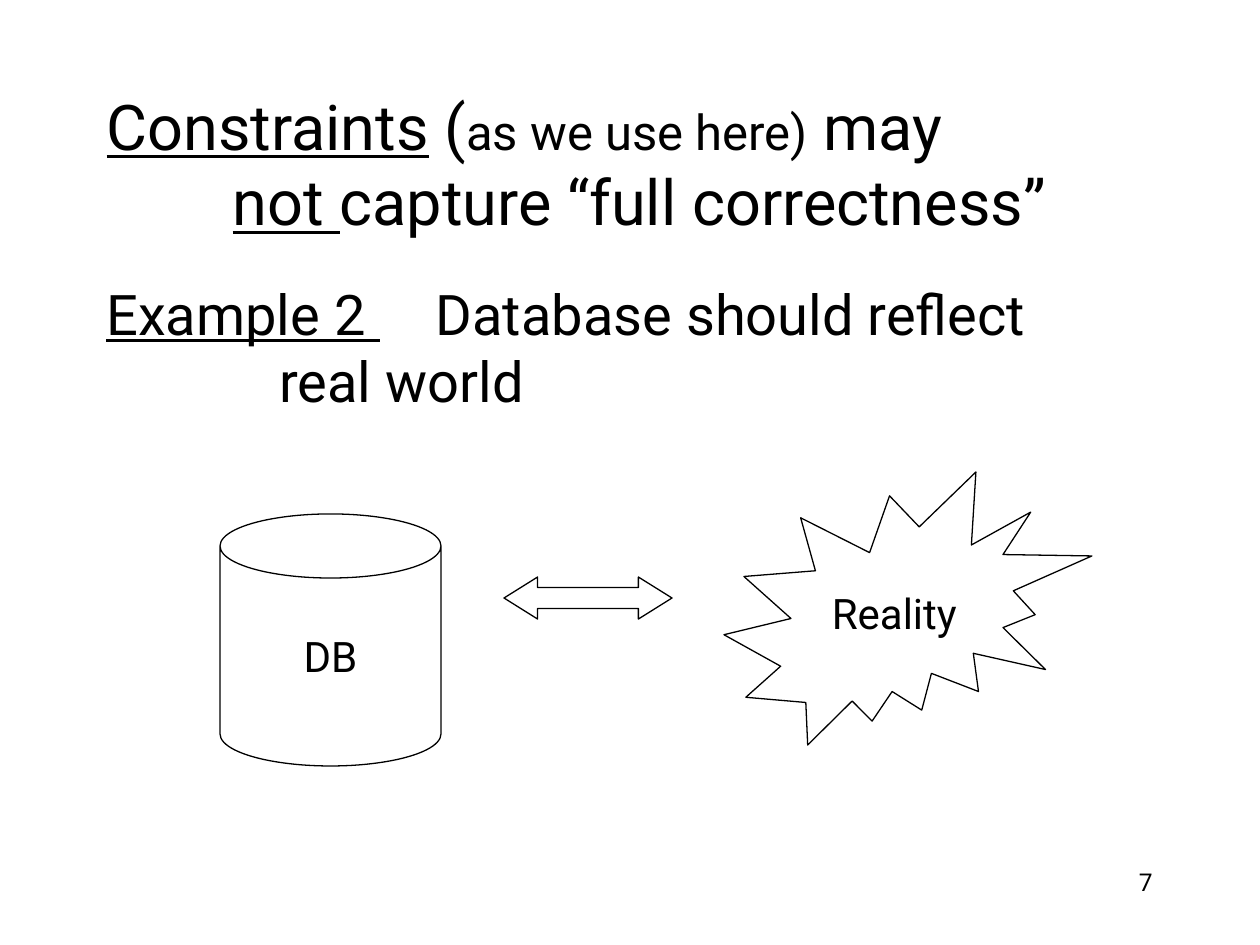
import dataclasses

import pptx
import pptx.dml.color
import pptx.enum.shapes
import pptx.enum.text
import pptx.util

ALIGN = pptx.enum.text.PP_ALIGN
ANCHOR = pptx.enum.text.MSO_ANCHOR
SHAPE = pptx.enum.shapes.MSO_SHAPE
BREAK = "\n"


@dataclasses.dataclass(frozen=True)
class Theme:
    """Colours, font and type sizes."""
    font: str = "Roboto"
    ink: str = "000000"
    paper: str = "FFFFFF"
    outline: float = 0.75
    title: int = 36
    aside: int = 28
    body: int = 32
    label: int = 24
    number: int = 14


@dataclasses.dataclass(frozen=True)
class Run:
    """A piece of text with its own formatting."""
    text: str
    size: int
    underline: bool = False
    spacing: int = 0


def pixels(count):
    """Turn pixels into EMU."""
    return pptx.util.Emu(round(count * 914400 / 126))


class SlideBuilder:
    """Holds the theme and the current slide."""

    def __init__(self, slide, theme):
        """Keep the slide and its style."""
        self.slide = slide
        self.theme = theme

    def color(self, value):
        """Return an RGB colour."""
        return pptx.dml.color.RGBColor.from_string(value)

    def fill_text(self, shape, runs, align=ALIGN.LEFT, anchor=ANCHOR.TOP,
                  wrap=True, hanging=0, before=0):
        """Put one paragraph, run by run, into a shape."""
        frame = shape.text_frame
        frame.word_wrap = wrap
        frame.auto_size = pptx.enum.text.MSO_AUTO_SIZE.NONE
        frame.vertical_anchor = anchor
        paragraph = frame.paragraphs[0]
        paragraph.alignment = align
        paragraph.space_before = pptx.util.Pt(before)
        if hanging:
            properties = paragraph._p.get_or_add_pPr()
            properties.set("marL", str(pixels(hanging)))
            properties.set("indent", str(-pixels(hanging)))
        for item in runs:
            if item == BREAK:
                paragraph.add_line_break()
                continue
            run = paragraph.add_run()
            run.text = item.text
            run.font.name = self.theme.font
            run.font.size = pptx.util.Pt(item.size)
            run.font.underline = item.underline
            run.font.color.rgb = self.color(self.theme.ink)
            if item.spacing:
                run._r.get_or_add_rPr().set("spc", str(item.spacing * 100))

    def title(self, box, runs, **layout):
        """Place and fill the title placeholder."""
        title = self.slide.shapes.title
        title.left, title.top, title.width, title.height = map(pixels, box)
        self.fill_text(title, runs, **layout)

    def text(self, box, runs, **layout):
        """Add a text box."""
        text_box = self.slide.shapes.add_textbox(*map(pixels, box))
        self.fill_text(text_box, runs, **layout)

    def shape(self, kind, box, label="", adjustments=()):
        """Add an outlined preset shape with an optional centred label."""
        shape = self.slide.shapes.add_shape(kind, *map(pixels, box))
        shape.shadow.inherit = False
        shape.fill.solid()
        shape.fill.fore_color.rgb = self.color(self.theme.paper)
        shape.line.color.rgb = self.color(self.theme.ink)
        shape.line.width = pptx.util.Pt(self.theme.outline)
        for index, value in enumerate(adjustments):
            shape.adjustments[index] = value
        if label:
            self.fill_text(shape, [Run(label, self.theme.label)], align=ALIGN.CENTER,
                           anchor=ANCHOR.MIDDLE, wrap=False)


def main():
    """Build and save the slide."""
    presentation = pptx.Presentation()
    presentation.slide_width, presentation.slide_height = pixels(1260), pixels(945)
    slide = presentation.slides.add_slide(presentation.slide_layouts[5])
    theme = Theme()
    builder = SlideBuilder(slide, theme)

    builder.title((94, 84, 1071, 158), [
        Run("Constraints", theme.title, underline=True),
        Run(" (", theme.title),
        Run("as we use here)", theme.aside),
        Run(" may", theme.title),
        BREAK,
        Run("not ", theme.title, underline=True),
        Run("capture “full correctness”", theme.title),
    ], anchor=ANCHOR.MIDDLE, hanging=126)

    builder.text((94, 273, 1071, 567), [
        Run("Example 2 ", theme.body, underline=True),
        Run(" ", theme.body, spacing=24),
        Run("Database should reflect", theme.body),
        BREAK,
        Run("real world", theme.body),
    ], hanging=173, before=6.4)

    builder.shape(SHAPE.CAN, (220, 514, 221, 252), "DB", [0.29])
    builder.shape(SHAPE.EXPLOSION2, (724, 472, 368, 273), "Reality")
    builder.shape(SHAPE.LEFT_RIGHT_ARROW, (504, 577, 168, 42), adjustments=[0.5, 0.8])
    builder.text((903, 861, 262, 63), [Run("7", theme.number)], align=ALIGN.RIGHT)

    presentation.save("out.pptx")


main()
